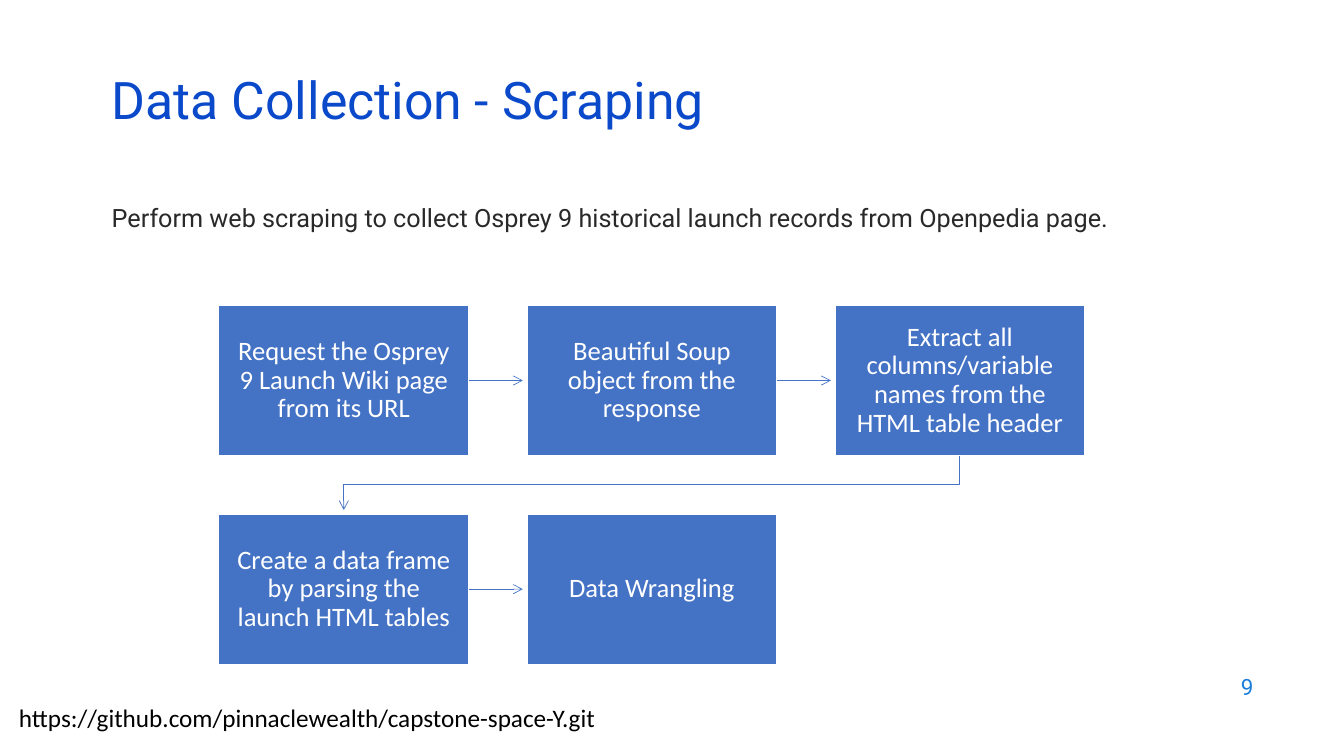
from lxml import etree
from pptx import Presentation
from pptx.dml.color import RGBColor
from pptx.enum.shapes import MSO_CONNECTOR, MSO_SHAPE
from pptx.enum.text import MSO_ANCHOR, PP_ALIGN
from pptx.oxml.ns import qn
from pptx.util import Inches, Pt

STRAIGHT = MSO_CONNECTOR.STRAIGHT
RECT = MSO_SHAPE.RECTANGLE
TOP, MIDDLE = MSO_ANCHOR.TOP, MSO_ANCHOR.MIDDLE
LEFT, CENTER, RIGHT = PP_ALIGN.LEFT, PP_ALIGN.CENTER, PP_ALIGN.RIGHT

COLORS = {
    "title": "0B49CB",
    "body": "292929",
    "page": "1C7DDB",
    "step": "4472C4",
    "white": "FFFFFF",
    "link": "000000",
}
STEPS = [
    "Request the Osprey 9 Launch Wiki page from its URL",
    "Beautiful Soup object from the response",
    "Extract all columns/variable names from the HTML table header",
    "Create a data frame by parsing the launch HTML tables",
    "Data Wrangling",
]
COLS = 3
GRID_X, GRID_Y = 2.17, 3.03
STEP_W, STEP_H = 2.48, 1.49
PITCH_X, PITCH_Y = 3.055, 2.07
GAP = 0.04


def color(name):
    return RGBColor.from_string(COLORS[name])


def write(frame, text, size, font, name, align=LEFT, anchor=TOP, spacing=None):
    frame.word_wrap = True
    frame.vertical_anchor = anchor
    para = frame.paragraphs[0]
    para.alignment = align
    if spacing:
        para.line_spacing = spacing
    run = para.add_run()
    run.text = text
    run.font.size = Pt(size)
    run.font.name = font
    run.font.color.rgb = color(name)


def add_text(slide, box, *args, **style):
    shape = slide.shapes.add_textbox(*map(Inches, box))
    write(shape.text_frame, *args, **style)


def add_step(slide, text, x, y):
    step = slide.shapes.add_shape(RECT, *map(Inches, (x, y, STEP_W, STEP_H)))
    step.shadow.inherit = False
    step.fill.solid()
    step.fill.fore_color.rgb = color("step")
    step.line.color.rgb = color("white")
    step.line.width = Pt(1)
    frame = step.text_frame
    frame.margin_left = frame.margin_right = Inches(0.15)
    frame.margin_top = frame.margin_bottom = Inches(0.15)
    write(frame, text, 19, "Calibri", "white", CENTER, MIDDLE, 0.9)
    return step


def style_arrow(shape):
    shape.line.color.rgb = color("step")
    shape.line.width = Pt(0.5)
    line = shape.line._get_or_add_ln()
    etree.SubElement(line, qn("a:tailEnd"), type="arrow")


def add_arrow(slide, step, x, y):
    mid = Inches(y + STEP_H / 2)
    end = Inches(x + PITCH_X - GAP)
    arrow = slide.shapes.add_connector(STRAIGHT, Inches(x + STEP_W), mid, end, mid)
    arrow.begin_connect(step, 3)
    style_arrow(arrow)
    etree.SubElement(arrow._element.spPr, qn("a:effectLst"))


def add_bend(slide, x, y):
    start = x + STEP_W / 2
    end = GRID_X + STEP_W / 2
    base = y + STEP_H
    foot = y + PITCH_Y - GAP
    turn = (base + y + PITCH_Y) / 2
    build = slide.shapes.build_freeform(Inches(start), Inches(base))
    points = [(start, turn), (end, turn), (end, foot)]
    build.add_line_segments([(Inches(a), Inches(b)) for a, b in points], close=False)
    bend = build.convert_to_shape()
    bend.shadow.inherit = False
    bend.fill.background()
    style_arrow(bend)


def add_flow(slide):
    for i, text in enumerate(STEPS):
        row, col = divmod(i, COLS)
        x, y = GRID_X + col * PITCH_X, GRID_Y + row * PITCH_Y
        step = add_step(slide, text, x, y)
        if i == len(STEPS) - 1:
            break
        if col == COLS - 1:
            add_bend(slide, x, y)
        else:
            add_arrow(slide, step, x, y)


def main():
    deck = Presentation()
    deck.slide_width, deck.slide_height = Inches(13.33), Inches(7.5)
    slide = deck.slides.add_slide(deck.slide_layouts[6])
    add_text(slide, (1.01, 0.76, 11.5, 0.6), "Data Collection - Scraping",
             37, "Roboto", "title", anchor=MIDDLE, spacing=0.7)
    add_text(slide, (1.01, 1.96, 10.91, 0.87),
             "Perform web scraping to collect Osprey 9 historical launch "
             "records from Openpedia page.", 18, "Roboto", "body")
    add_flow(slide)
    add_text(slide, (9.53, 6.59, 3, 0.44), "9", 16, "Roboto", "page",
             align=RIGHT, anchor=MIDDLE)
    add_text(slide, (0.09, 6.92, 6.67, 0.4),
             "https://github.com/pinnaclewealth/capstone-space-Y.git",
             18, "Calibri", "link")
    deck.save("out.pptx")


if __name__ == "__main__":
    main()
